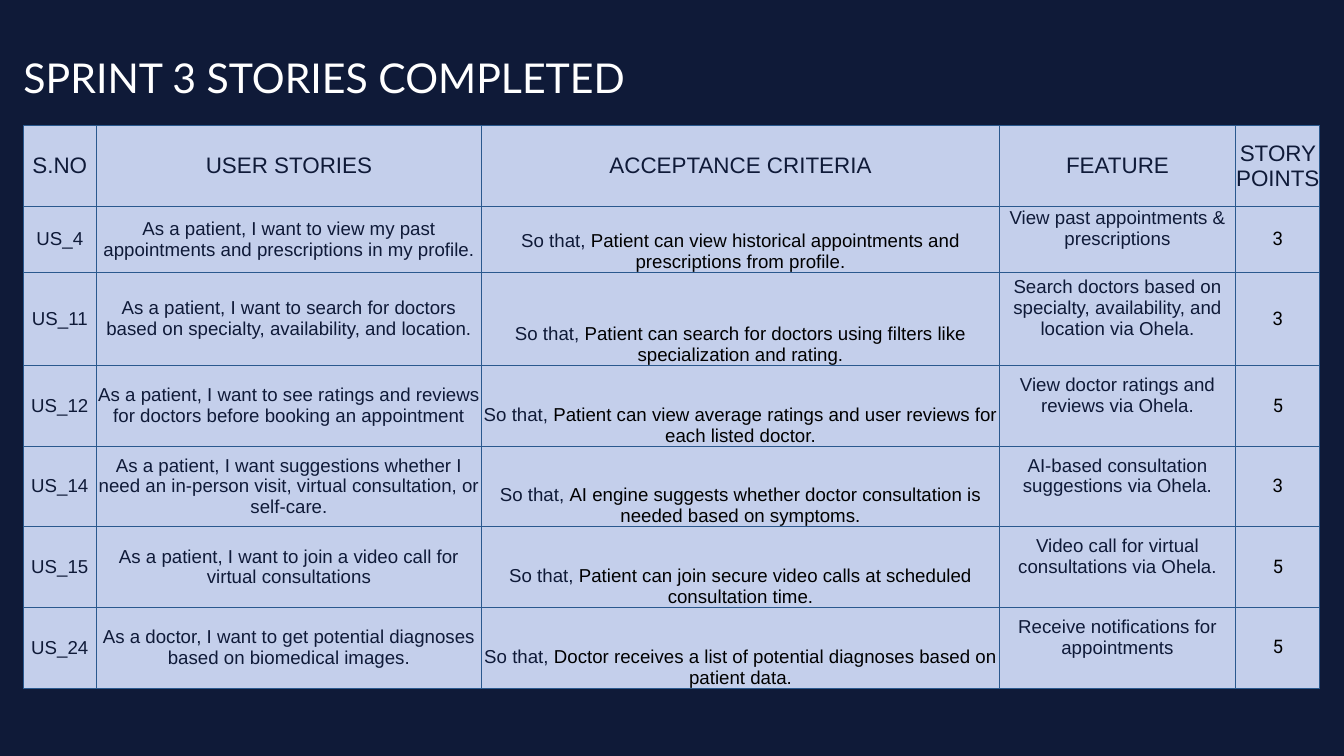
from dataclasses import dataclass

from lxml.etree import SubElement
from pptx import Presentation
from pptx.dml.color import RGBColor as RGB
from pptx.enum.text import MSO_ANCHOR as Anchor, PP_ALIGN as Align
from pptx.oxml.ns import qn
from pptx.util import Inches, Pt


@dataclass(frozen=True)
class Theme:
    navy: str = "0F1A38"
    white: str = "FFFFFF"
    black: str = "000000"
    cell: str = "C4CFEB"
    border: str = "2A598E"
    title_font: str = "Lato"
    body_font: str = "Arial"
    number_font: str = "Roboto"
    title_size: int = 44
    head_size: int = 24
    body_size: int = 20
    border_width: float = 0.75


T = Theme()
SLIDE_W, SLIDE_H = Inches(20), Inches(11.25)

# Boxes in inches: left, top, width, height
TITLE_BOX = [Inches(n) for n in (0.25, 0.34, 13.12, 1.61)]
TABLE_BOX = [Inches(n) for n in (0.35, 1.87, 19.29, 8.27)]

# Relative widths and heights of the table grid
COLS = (1.08, 5.74, 7.7, 3.52, 1.25)
ROWS = (1.2, 0.88, 1.39, 1.2, 1.2, 1.2, 1.2)

TITLE = "SPRINT 3 STORIES COMPLETED"
HEADS = ("S.NO", "USER STORIES", "ACCEPTANCE CRITERIA", "FEATURE", "STORY POINTS")
LEAD = "So that, "
STORIES = (
    ("US_4",
     "As a patient, I want to view my past appointments and prescriptions in my profile.",
     "Patient can view historical appointments and prescriptions from profile.",
     "View past appointments & prescriptions", "3"),
    ("US_11",
     "As a patient, I want to search for doctors based on specialty, availability, and location.",
     "Patient can search for doctors using filters like specialization and rating.",
     "Search doctors based on specialty, availability, and location via Ohela.", "3"),
    ("US_12",
     "As a patient, I want to see ratings and reviews for doctors before booking an appointment",
     "Patient can view average ratings and user reviews for each listed doctor.",
     "View doctor ratings and reviews via Ohela.", "5"),
    ("US_14",
     "As a patient, I want suggestions whether I need an in-person visit, virtual consultation, "
     "or self-care.",
     "AI engine suggests whether doctor consultation is needed based on symptoms.",
     "AI-based consultation suggestions via Ohela.", "3"),
    ("US_15",
     "As a patient, I want to join a video call for virtual consultations",
     "Patient can join secure video calls at scheduled consultation time.",
     "Video call for virtual consultations via Ohela.", "5"),
    ("US_24",
     "As a doctor, I want to get potential diagnoses based on biomedical images.",
     "Doctor receives a list of potential diagnoses based on patient data.",
     "Receive notifications for appointments", "5"),
)


def set_attrs(obj, **values):
    for name, value in values.items():
        setattr(obj, name, value)


def add_run(p, text, size, color=T.navy, font=T.body_font):
    r = p.add_run()
    r.text = text
    set_attrs(r.font, name=font, size=Pt(size), bold=False)
    r.font.color.rgb = RGB.from_string(color)


def add_borders(cell):
    tc_pr = cell._tc.get_or_add_tcPr()
    for i, side in enumerate(("lnL", "lnR", "lnT", "lnB")):
        ln = SubElement(tc_pr, qn(f"a:{side}"), w=str(Pt(T.border_width)))
        fill = SubElement(ln, qn("a:solidFill"))
        SubElement(fill, qn("a:srgbClr"), val=T.border)
        tc_pr.insert(i, ln)  # borders come before the cell's fill


def style_cell(cell, anchor=Anchor.MIDDLE, bottom=0):
    set_attrs(cell, margin_left=0, margin_right=0, margin_top=0,
              margin_bottom=Inches(bottom), vertical_anchor=anchor)
    cell.fill.solid()
    cell.fill.fore_color.rgb = RGB.from_string(T.cell)
    add_borders(cell)
    p = cell.text_frame.paragraphs[0]
    p.alignment = Align.CENTER
    return p


def add_title(slide, box):
    tf = slide.shapes.add_textbox(*box).text_frame
    set_attrs(tf, word_wrap=True, vertical_anchor=Anchor.MIDDLE)
    add_run(tf.paragraphs[0], TITLE, T.title_size, T.white, T.title_font)


def add_story_table(slide, box):
    table = slide.shapes.add_table(len(ROWS), len(COLS), *box).table
    set_attrs(table, first_row=False, horz_banding=False)
    for col, share in zip(table.columns, COLS):
        col.width = int(box[2] * share / sum(COLS))
    for row, share in zip(table.rows, ROWS):
        row.height = int(box[3] * share / sum(ROWS))

    # Header row
    for c, head in enumerate(HEADS):
        add_run(style_cell(table.cell(0, c)), head, T.head_size)

    # Story rows
    for i, (number, story, criterion, feature, points) in enumerate(STORIES, 1):
        for c, text in enumerate((number, story)):
            add_run(style_cell(table.cell(i, c)), text, T.body_size)
        p = style_cell(table.cell(i, 2), Anchor.BOTTOM)
        add_run(p, LEAD, T.body_size)
        add_run(p, criterion, T.body_size, T.black)
        # One line of space below lifts the feature text
        add_run(style_cell(table.cell(i, 3), bottom=0.31), feature, T.body_size)
        add_run(style_cell(table.cell(i, 4)), points, T.body_size, T.black, T.number_font)


def main():
    prs = Presentation()
    set_attrs(prs, slide_width=SLIDE_W, slide_height=SLIDE_H)
    slide = prs.slides.add_slide(prs.slide_layouts[6])
    slide.background.fill.solid()
    slide.background.fill.fore_color.rgb = RGB.from_string(T.navy)
    add_title(slide, TITLE_BOX)
    add_story_table(slide, TABLE_BOX)
    prs.save("out.pptx")


if __name__ == "__main__":
    main()
